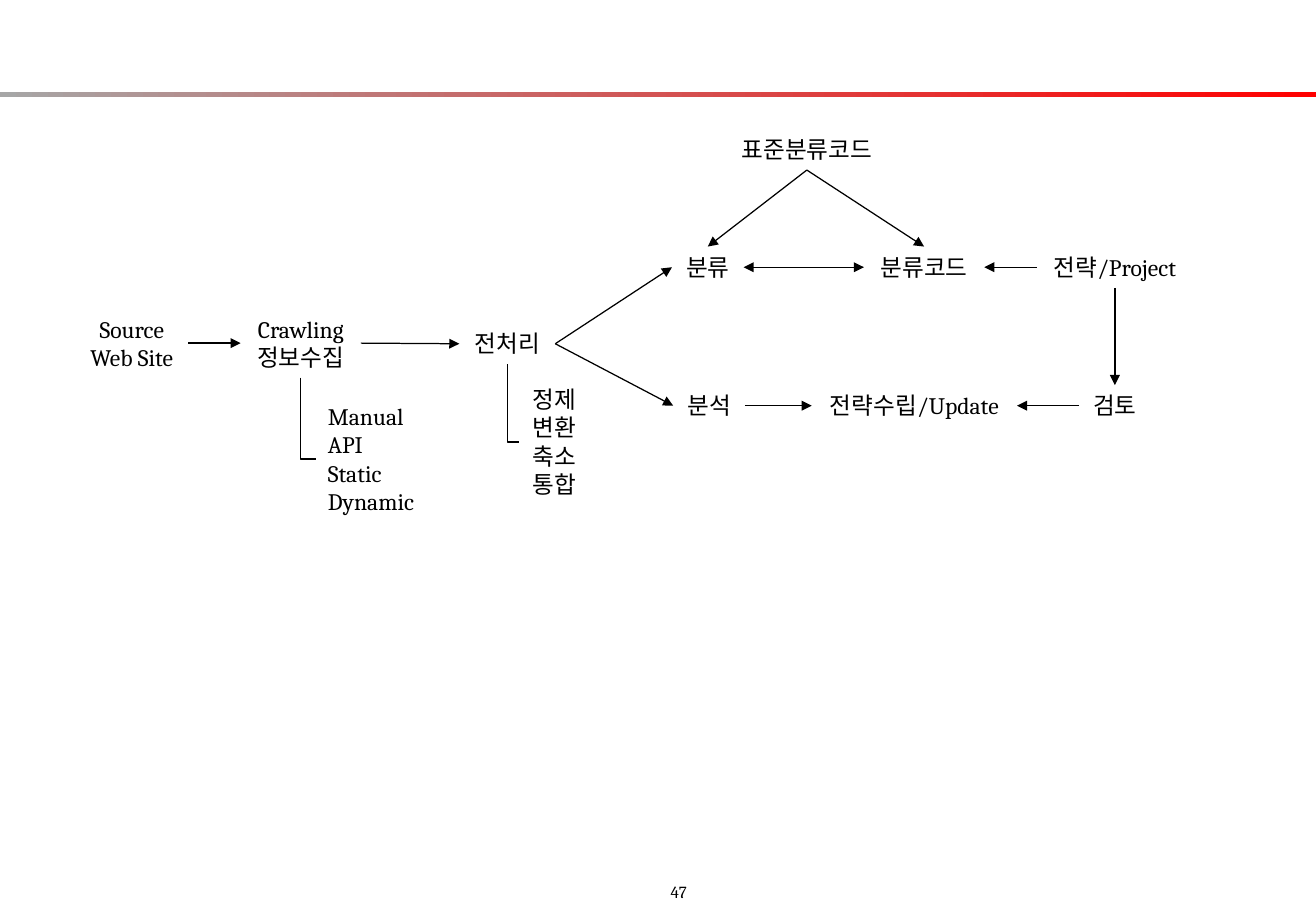
from lxml.etree import SubElement
from pptx import Presentation
from pptx.dml.color import RGBColor
from pptx.enum.shapes import MSO_CONNECTOR, MSO_SHAPE
from pptx.enum.text import MSO_AUTO_SIZE, PP_ALIGN
from pptx.oxml.ns import qn
from pptx.util import Emu, Pt

PX = 9144  # 100 px to the inch
TOP, LEFT, BOTTOM, RIGHT = range(4)


def rgb(value):
    return RGBColor.from_string(value)


def add_link(start, start_site, end, end_site, kind=MSO_CONNECTOR.STRAIGHT, arrows=("tailEnd",)):
    """Join two boxes with a black line; arrows lists the ends with a head."""
    c = s.shapes.add_connector(kind, 0, 0, 0, 0)
    c.begin_connect(start, start_site)
    c.end_connect(end, end_site)
    c.line.color.rgb = rgb("000000")
    c.line.width = Pt(0.75)
    for arrow in arrows:
        SubElement(c.line._get_or_add_ln(), qn(f"a:{arrow}"), type="triangle")
    SubElement(c._element.spPr, qn("a:effectLst"))
    return c


prs = Presentation()
prs.slide_width, prs.slide_height = Emu(1083 * PX), Emu(750 * PX)
s = prs.slides.add_slide(prs.slide_layouts[6])

bar = s.shapes.add_shape(MSO_SHAPE.RECTANGLE, 0, 76 * PX, prs.slide_width, 4 * PX)
bar.shadow.inherit = False
bar.line.fill.background()
bar.fill.gradient()
bar.fill.gradient_angle = 0
for stop, color, position in zip(bar.fill.gradient_stops, ("A6A6A6", "FF0000"), (0, 1)):
    stop.color.rgb = rgb(color)
    stop.position = position

C, L = PP_ALIGN.CENTER, PP_ALIGN.LEFT
labels = {
    "page": ("47", 542, 721, 37, 25, L, 10),
    "source": ("Source\nWeb Site", 62, 254, 93, 57, C, 14),
    "crawling": ("Crawling\n정보수집", 198, 254, 99, 57, C, 14),
    "methods": ("Manual\nAPI\nStatic\nDynamic", 260, 326, 94, 104, L, 14),
    "preprocess": ("전처리", 378, 266, 79, 34, C, 14),
    "classify": ("분류", 553, 203, 59, 34, C, 14),
    "steps": ("정제\n변환\n축소\n통합", 427, 312, 59, 104, C, 14),
    "standard": ("표준분류코드", 595, 106, 138, 34, C, 14),
    "project": ("전략/Project", 853, 203, 129, 34, C, 14),
    "code": ("분류코드", 711, 203, 99, 34, C, 14),
    "review": ("검토", 888, 317, 59, 34, C, 14),
    "analyse": ("분석", 554, 317, 59, 34, C, 14),
    "strategy": ("전략수립/Update", 668, 317, 169, 34, C, 14),
}
box = {}
for name, (text, x, y, w, h, align, size) in labels.items():
    box[name] = sp = s.shapes.add_textbox(x * PX, y * PX, w * PX, h * PX)
    tf = sp.text_frame
    tf.text = text
    tf.word_wrap = False
    tf.auto_size = MSO_AUTO_SIZE.SHAPE_TO_FIT_TEXT
    for p in tf.paragraphs:
        p.alignment = align
        for r in p.runs:
            for key, value in {"name": "Cambria", "size": Pt(size)}.items():
                setattr(r.font, key, value)
            r.font.color.rgb = rgb("000000")

for start, start_site, end, end_site in (
    ("source", RIGHT, "crawling", LEFT),
    ("crawling", RIGHT, "preprocess", LEFT),
    ("preprocess", RIGHT, "classify", LEFT),
    ("preprocess", RIGHT, "analyse", LEFT),
    ("project", LEFT, "code", RIGHT),
    ("standard", BOTTOM, "classify", TOP),
    ("standard", BOTTOM, "code", TOP),
    ("project", BOTTOM, "review", TOP),
    ("analyse", RIGHT, "strategy", LEFT),
    ("review", LEFT, "strategy", RIGHT),
):
    add_link(box[start], start_site, box[end], end_site)
add_link(box["classify"], RIGHT, box["code"], LEFT, arrows=("headEnd", "tailEnd"))

# One-bend elbows: turned 270 degrees and flipped, so width and height swap about the centre
for start, end in (("crawling", "methods"), ("preprocess", "steps")):
    c = add_link(box[start], BOTTOM, box[end], LEFT, MSO_CONNECTOR.ELBOW, arrows=())
    across, down = c.width, c.height
    c.left += (across - down) // 2
    c.top += (down - across) // 2
    c.width, c.height = down, across
    spPr = c._element.spPr
    spPr.find(qn("a:prstGeom")).set("prst", "bentConnector2")
    xfrm = spPr.find(qn("a:xfrm"))
    xfrm.set("rot", str(270 * 60000))
    xfrm.set("flipH", "1")

prs.save("out.pptx")
